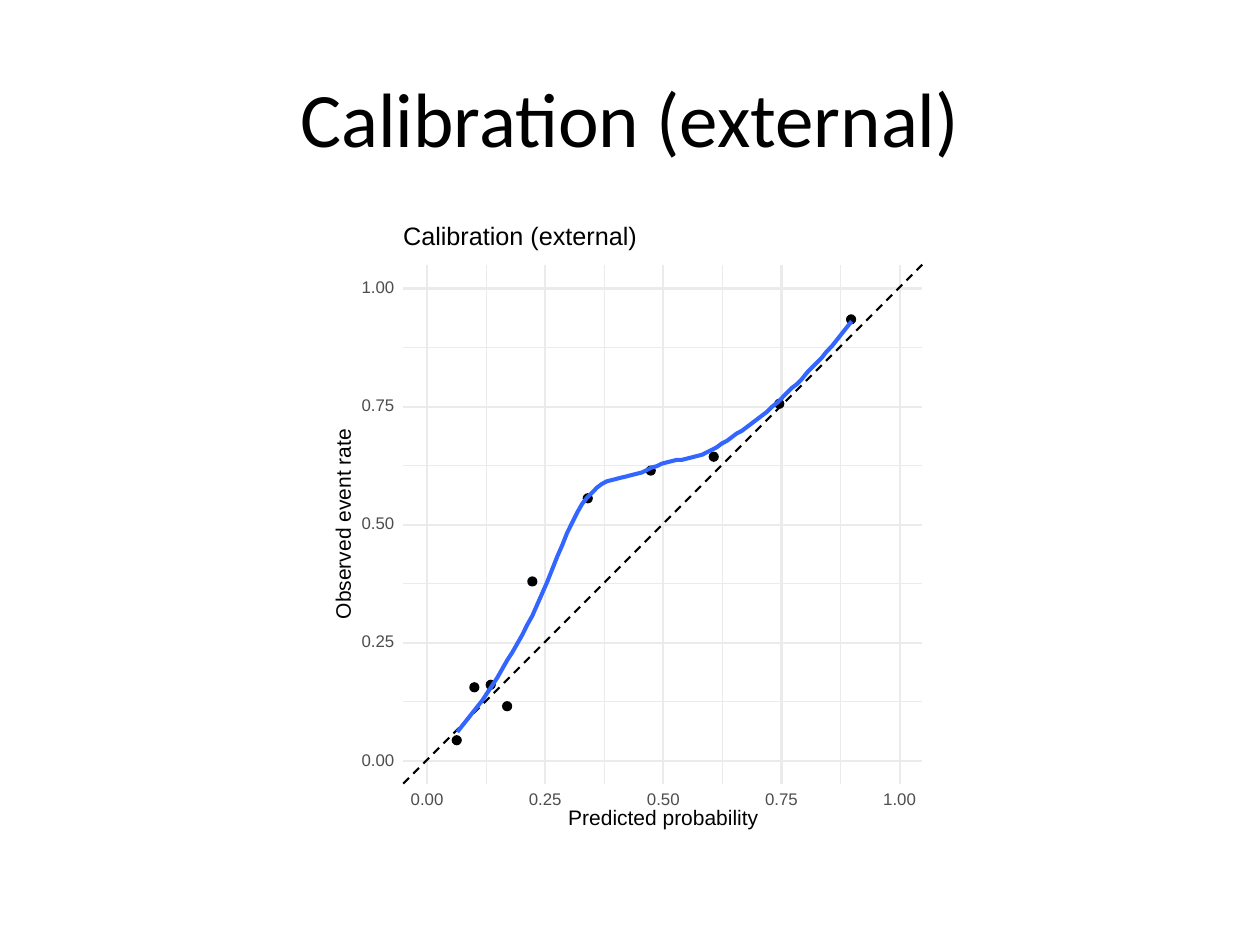
from dataclasses import dataclass

from lxml import etree
from pptx import Presentation
from pptx.dml.color import RGBColor
from pptx.enum.dml import MSO_LINE
from pptx.enum.shapes import MSO_CONNECTOR, MSO_SHAPE
from pptx.enum.text import MSO_ANCHOR, PP_ALIGN
from pptx.oxml.ns import qn
from pptx.util import Inches, Pt

STRAIGHT = MSO_CONNECTOR.STRAIGHT
RECTANGLE = MSO_SHAPE.RECTANGLE
ELLIPSE = MSO_SHAPE.OVAL
DASH = MSO_LINE.DASH
MIDDLE = MSO_ANCHOR.MIDDLE
LEFT = PP_ALIGN.LEFT
CENTER = PP_ALIGN.CENTER

BLACK = RGBColor(0x00, 0x00, 0x00)
WHITE = RGBColor(0xFF, 0xFF, 0xFF)
GRID_GRAY = RGBColor(0xEB, 0xEB, 0xEB)
LABEL_GRAY = RGBColor(0x4D, 0x4D, 0x4D)
CURVE_BLUE = RGBColor(0x33, 0x66, 0xFF)


@dataclass(frozen=True)
class Box:
    left: float
    top: float
    width: float
    height: float


@dataclass(frozen=True)
class GridLevel:
    values: list[float]
    weight: float


# Plot panel and axis scale, in inches
PANEL = Box(3.2, 2.1, 4.12, 4.12)
PANEL_RIGHT = PANEL.left + PANEL.width
PANEL_BOTTOM = PANEL.top + PANEL.height
ORIGIN_X, ORIGIN_Y, UNIT = 3.39, 6.04, 3.75

TICKS = [step / 4 for step in range(5)]
MINOR_GRID = GridLevel([(2 * step + 1) / 8 for step in range(4)], 0.58)
MAJOR_GRID = GridLevel(TICKS, 1.16)

# Left and top of each observed marker, in inches
MARKER_SIZE = 0.07
MARKERS = [
    (3.59, 5.84), (3.73, 5.42), (3.86, 5.4), (3.99, 5.57), (4.19, 4.58),
    (4.63, 3.92), (5.13, 3.7), (5.63, 3.59), (6.15, 3.17), (6.72, 2.5),
]

# Heights of the smoothed curve at equal steps from start to end
CURVE_START, CURVE_END = 3.63, 6.76
CURVE_HEIGHTS = [
    5.81, 5.76, 5.71, 5.66, 5.61, 5.56, 5.5, 5.44, 5.38, 5.31,
    5.24, 5.18, 5.11, 5.04, 4.96, 4.89, 4.8, 4.71, 4.62, 4.52,
    4.42, 4.33, 4.23, 4.15, 4.07, 4, 3.95, 3.91, 3.87, 3.84,
    3.82, 3.81, 3.8, 3.79, 3.78, 3.77, 3.76, 3.75, 3.73, 3.71,
    3.7, 3.68, 3.67, 3.66, 3.65, 3.65, 3.64, 3.63, 3.62, 3.61,
    3.59, 3.57, 3.55, 3.52, 3.5, 3.47, 3.44, 3.42, 3.39, 3.36,
    3.33, 3.3, 3.27, 3.23, 3.2, 3.16, 3.12, 3.08, 3.05, 3.01,
    2.96, 2.92, 2.88, 2.84, 2.79, 2.75, 2.7, 2.65, 2.6, 2.55,
]


def axis_x(value: float) -> float:
    return ORIGIN_X + UNIT * value


def axis_y(value: float) -> float:
    return ORIGIN_Y - UNIT * value


def add_text(slide, text: str, box: Box, *, size: float, color: RGBColor = BLACK,
             font: str = "Arial", align=LEFT, rotation: float = 0,
             inset: float = 0, wrap: bool = False, exact_spacing: bool = True) -> None:
    shape = slide.shapes.add_textbox(Inches(box.left), Inches(box.top),
                                     Inches(box.width), Inches(box.height))
    shape.rotation = rotation
    frame = shape.text_frame
    frame.word_wrap = wrap
    frame.vertical_anchor = MIDDLE
    frame.margin_left = frame.margin_right = Inches(inset)
    frame.margin_top = frame.margin_bottom = Inches(inset / 2)
    paragraph = frame.paragraphs[0]
    paragraph.alignment = align
    if exact_spacing:
        paragraph.line_spacing = Pt(size)
    run = paragraph.add_run()
    run.text = text
    run.font.name = font
    run.font.size = Pt(size)
    run.font.color.rgb = color


def add_line(slide, x1: float, y1: float, x2: float, y2: float, *,
             color: RGBColor, weight: float, dash=None) -> None:
    connector = slide.shapes.add_connector(STRAIGHT, Inches(x1), Inches(y1),
                                           Inches(x2), Inches(y2))
    connector.line.color.rgb = color
    connector.line.width = Pt(weight)
    if dash is not None:
        connector.line.dash_style = dash
    etree.SubElement(connector._element.spPr, qn("a:effectLst"))


def add_filled_shape(slide, kind, box: Box, *, color: RGBColor,
                     line_weight: float = 0) -> None:
    shape = slide.shapes.add_shape(kind, Inches(box.left), Inches(box.top),
                                   Inches(box.width), Inches(box.height))
    shape.shadow.inherit = False
    shape.fill.solid()
    shape.fill.fore_color.rgb = color
    if line_weight:
        shape.line.color.rgb = color
        shape.line.width = Pt(line_weight)
    else:
        shape.line.fill.background()


def add_grid(slide, level: GridLevel) -> None:
    for value in level.values:
        y = axis_y(value)
        add_line(slide, PANEL.left, y, PANEL_RIGHT, y,
                 color=GRID_GRAY, weight=level.weight)
    for value in level.values:
        x = axis_x(value)
        add_line(slide, x, PANEL_BOTTOM, x, PANEL.top,
                 color=GRID_GRAY, weight=level.weight)


def add_curve(slide) -> None:
    step = (CURVE_END - CURVE_START) / (len(CURVE_HEIGHTS) - 1)
    points = [(Inches(CURVE_START + index * step), Inches(height))
              for index, height in enumerate(CURVE_HEIGHTS)]
    builder = slide.shapes.build_freeform(*points[0])
    builder.add_line_segments(points[1:], close=False)
    curve = builder.convert_to_shape()
    curve.shadow.inherit = False
    curve.fill.background()
    curve.line.color.rgb = CURVE_BLUE
    curve.line.width = Pt(2.33)


def main() -> None:
    presentation = Presentation()
    presentation.slide_width = Inches(10)
    presentation.slide_height = Inches(7.5)
    slide = presentation.slides.add_slide(presentation.slide_layouts[6])

    # Title
    add_text(slide, "Calibration (external)", Box(0.5, 0.3, 9, 1.25), size=44,
             font="Calibri", align=CENTER, inset=0.1, wrap=True, exact_spacing=False)

    # Plot background and grid
    add_filled_shape(slide, RECTANGLE, Box(0.5, 1.75, 9, 4.95),
                     color=WHITE, line_weight=0.75)
    add_filled_shape(slide, RECTANGLE, Box(2.59, 1.75, 4.82, 4.95), color=WHITE)
    for level in (MINOR_GRID, MAJOR_GRID):
        add_grid(slide, level)

    # Ideal line, observed rates and smoothed curve
    add_line(slide, PANEL.left, PANEL_BOTTOM, PANEL_RIGHT, PANEL.top,
             color=BLACK, weight=1.16, dash=DASH)
    for left, top in MARKERS:
        add_filled_shape(slide, ELLIPSE, Box(left, top, MARKER_SIZE, MARKER_SIZE),
                         color=BLACK, line_weight=0.77)
    add_curve(slide)

    # Tick labels
    vertical_boxes = [Box(2.87, axis_y(tick) - 0.05, 0.26, 0.1) for tick in TICKS]
    horizontal_boxes = [Box(axis_x(tick) - 0.13, 6.3, 0.26, 0.1) for tick in TICKS]
    for boxes in (vertical_boxes, horizontal_boxes):
        for tick, box in zip(TICKS, boxes):
            add_text(slide, f"{tick:.2f}", box, size=9.6, color=LABEL_GRAY)

    # Axis titles and plot title
    add_text(slide, "Predicted probability", Box(4.51, 6.43, 1.51, 0.15), size=12)
    add_text(slide, "Observed event rate", Box(1.98, 4.1, 1.51, 0.12),
             size=12, rotation=270)
    add_text(slide, "Calibration (external)", Box(3.2, 1.79, 1.86, 0.19), size=14.4)

    presentation.save("out.pptx")


if __name__ == "__main__":
    main()
